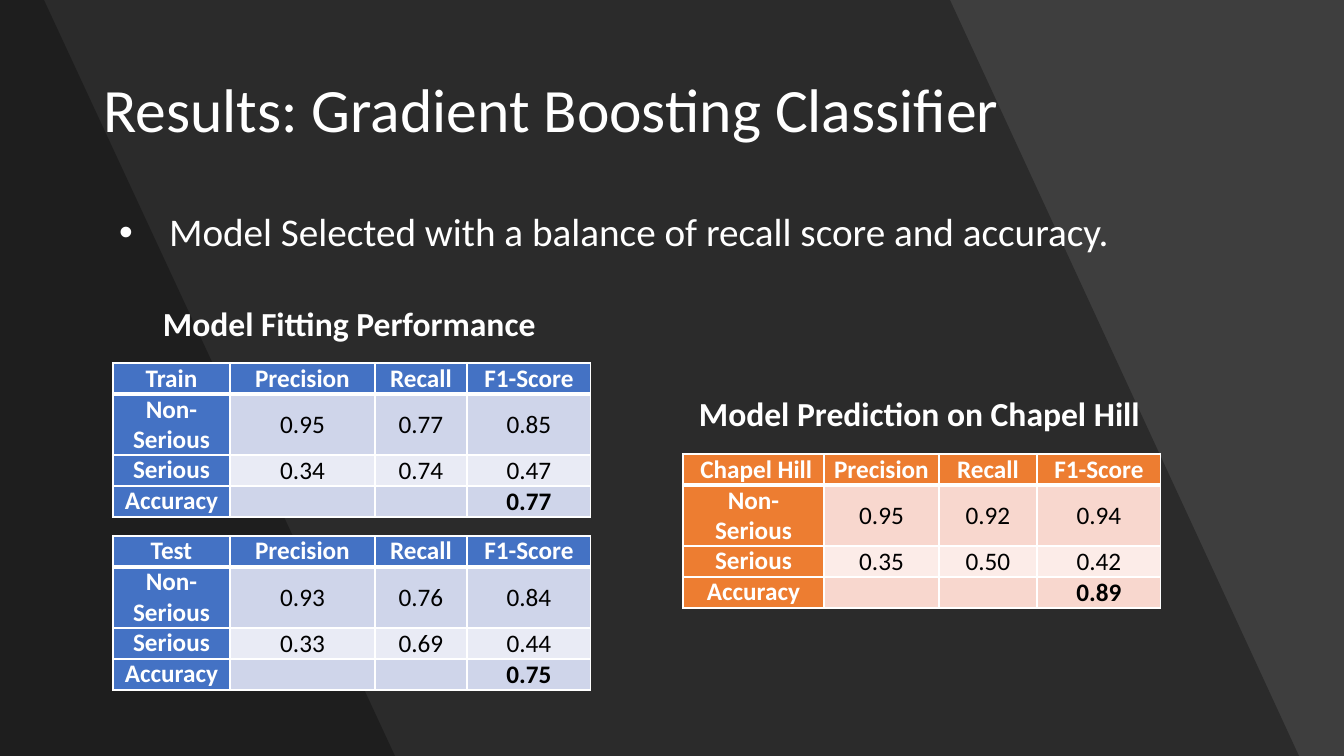
from lxml.etree import SubElement
from pptx import Presentation
from pptx.dml.color import RGBColor
from pptx.enum.text import MSO_ANCHOR, MSO_AUTO_SIZE, PP_ALIGN
from pptx.enum.shapes import MSO_SHAPE
from pptx.oxml.ns import qn
from pptx.util import Pt

SLIDE_W, SLIDE_H = 1344, 756
EMU_PER_PX = 12192000 / SLIDE_W

FONT = "Calibri"
WHITE = RGBColor(0xFF, 0xFF, 0xFF)
BLACK = RGBColor(0x00, 0x00, 0x00)
CHARCOAL = RGBColor(0x45, 0x45, 0x45)
BLUE = RGBColor(0x44, 0x72, 0xC4)
BLUE_MID = RGBColor(0xCF, 0xD5, 0xEA)
BLUE_PALE = RGBColor(0xE9, 0xEB, 0xF5)
ORANGE = RGBColor(0xED, 0x7D, 0x31)
ORANGE_MID = RGBColor(0xF8, 0xD7, 0xCE)
ORANGE_PALE = RGBColor(0xFC, 0xEC, 0xE8)

BLUES = (BLUE, BLUE_MID, BLUE_PALE)
ORANGES = (ORANGE, ORANGE_MID, ORANGE_PALE)
METRICS = ("Precision", "Recall", "F1-Score")
FITTING_COLUMNS = (117, 145, 92, 124)
PREDICTION_COLUMNS = (141, 115, 98, 124)
ROW_HEIGHTS = (31, 61, 31, 31)


def px(length):
    return round(length * EMU_PER_PX)


def place(part, box):
    part.left, part.top, part.width, part.height = map(px, box)


def add_text(paragraph, text, size, color=WHITE, bold=False):
    run = paragraph.add_run()
    run.text = text
    run.font.name = FONT
    run.font.size = Pt(size)
    run.font.bold = bold
    run.font.color.rgb = color


# Backdrop: dark veil and two slanted bands
def shade(panel, opacity):
    panel.shadow.inherit = False
    panel.line.fill.background()
    panel.fill.solid()
    panel.fill.fore_color.rgb = BLACK
    color = panel.fill._xPr.find(qn("a:solidFill"))[0]
    SubElement(color, qn("a:alpha")).set("val", str(opacity * 1000))


def add_backdrop(slide, box):
    left, top, width, height = box
    slide.background.fill.solid()
    slide.background.fill.fore_color.rgb = CHARCOAL
    veil = slide.shapes.add_shape(MSO_SHAPE.RECTANGLE, *map(px, box))
    shade(veil, 9)
    for top_edge, bottom_edge in ((950, 1299), (44, 395)):
        outline = slide.shapes.build_freeform(px(left), px(top))
        corners = ((top_edge, 0), (bottom_edge, height), (0, height))
        outline.add_line_segments(
            [(px(left + x), px(top + y)) for x, y in corners], close=True)
        shade(outline.convert_to_shape(), 30)
    # Backdrop goes behind the title and body
    tree = slide.shapes._spTree
    for position, panel in enumerate(list(tree)[-3:]):
        tree.insert(2 + position, panel)


# Title and body placeholders
def fill_placeholder(placeholder, box, text, size, anchor):
    place(placeholder, box)
    frame = placeholder.text_frame
    frame.auto_size = MSO_AUTO_SIZE.NONE
    frame.vertical_anchor = anchor
    paragraph = frame.paragraphs[0]
    paragraph.alignment = PP_ALIGN.LEFT
    paragraph.line_spacing = 0.9
    paragraph.space_before = Pt(0)
    add_text(paragraph, text, size)
    return paragraph


def add_summary(body, box, text):
    paragraph = fill_placeholder(body, box, text, 28, MSO_ANCHOR.TOP)
    body.text_frame.word_wrap = False
    paragraph.space_after = Pt(6)
    properties = paragraph._p.get_or_add_pPr()
    properties.set("marL", str(px(56)))
    properties.set("indent", str(px(-50)))
    SubElement(properties, qn("a:buFont")).set("typeface", "Arial")
    SubElement(properties, qn("a:buChar")).set("char", "•")


# Table captions
def add_caption(slide, box, text):
    caption = slide.shapes.add_textbox(*map(px, box)).text_frame
    caption.word_wrap = False
    add_text(caption.paragraphs[0], text, 24, bold=True)


# Score tables
def add_borders(cell, top, bottom):
    properties = cell._tc.get_or_add_tcPr()
    for side, points in (("L", 1), ("R", 1), ("T", top), ("B", bottom)):
        border = SubElement(properties, qn("a:ln" + side))
        border.set("w", str(Pt(points)))
        fill = SubElement(border, qn("a:solidFill"))
        SubElement(fill, qn("a:srgbClr")).set("val", str(WHITE))


def fill_cell(cell, row, column, text, palette):
    strong, mid, pale = palette
    is_label = row == 0 or column == 0
    add_borders(cell, 3 if row == 1 else 1, 3 if row == 0 else 1)
    cell.fill.solid()
    cell.fill.fore_color.rgb = strong if is_label else mid if row % 2 else pale
    cell.margin_left = cell.margin_right = px(7)
    cell.margin_top = cell.margin_bottom = 0
    cell.vertical_anchor = MSO_ANCHOR.TOP if is_label else MSO_ANCHOR.MIDDLE
    paragraph = cell.text_frame.paragraphs[0]
    paragraph.alignment = PP_ALIGN.CENTER
    if text:
        add_text(paragraph, text, 18, WHITE if is_label else BLACK,
                 is_label or row == 3)
    else:
        SubElement(paragraph._p, qn("a:endParaRPr")).set("sz", "1800")


def add_scores(slide, corner, columns, palette, dataset, non_serious, serious,
               accuracy):
    rows = ((dataset, *METRICS), ("Non-Serious", *non_serious),
            ("Serious", *serious), ("Accuracy", "", "", accuracy))
    box = (*corner, sum(columns), sum(ROW_HEIGHTS))
    scores = slide.shapes.add_table(
        len(rows), len(columns), *map(px, box)).table
    for column, width in zip(scores.columns, columns):
        column.width = px(width)
    for r, (texts, height) in enumerate(zip(rows, ROW_HEIGHTS)):
        scores.rows[r].height = px(height)
        for c, text in enumerate(texts):
            fill_cell(scores.cell(r, c), r, c, text, palette)


def add_results_slide(deck):
    slide = deck.slides.add_slide(deck.slide_layouts[1])
    add_backdrop(slide, (0, 0, SLIDE_W, SLIDE_H))
    fill_placeholder(slide.shapes.title, (93, 40, 1159, 146),
                     "Results: Gradient Boosting Classifier", 44,
                     MSO_ANCHOR.MIDDLE)
    add_summary(slide.placeholders[1], (103, 208, 1027, 53),
                "Model Selected with a balance of recall score and accuracy.")

    add_caption(slide, (153, 298, 398, 50), "Model Fitting Performance")
    add_scores(slide, (113, 363), FITTING_COLUMNS, BLUES, "Train",
               ("0.95", "0.77", "0.85"), ("0.34", "0.74", "0.47"), "0.77")
    add_scores(slide, (113, 536), FITTING_COLUMNS, BLUES, "Test",
               ("0.93", "0.76", "0.84"), ("0.33", "0.69", "0.44"), "0.75")

    add_caption(slide, (689, 388, 466, 50), "Model Prediction on Chapel Hill")
    add_scores(slide, (683, 454), PREDICTION_COLUMNS, ORANGES, " Chapel Hill",
               ("0.95", "0.92", "0.94"), ("0.35", "0.50", "0.42"), "0.89")


def main():
    deck = Presentation()
    deck.slide_width, deck.slide_height = px(SLIDE_W), px(SLIDE_H)
    add_results_slide(deck)
    deck.save("out.pptx")


if __name__ == "__main__":
    main()
